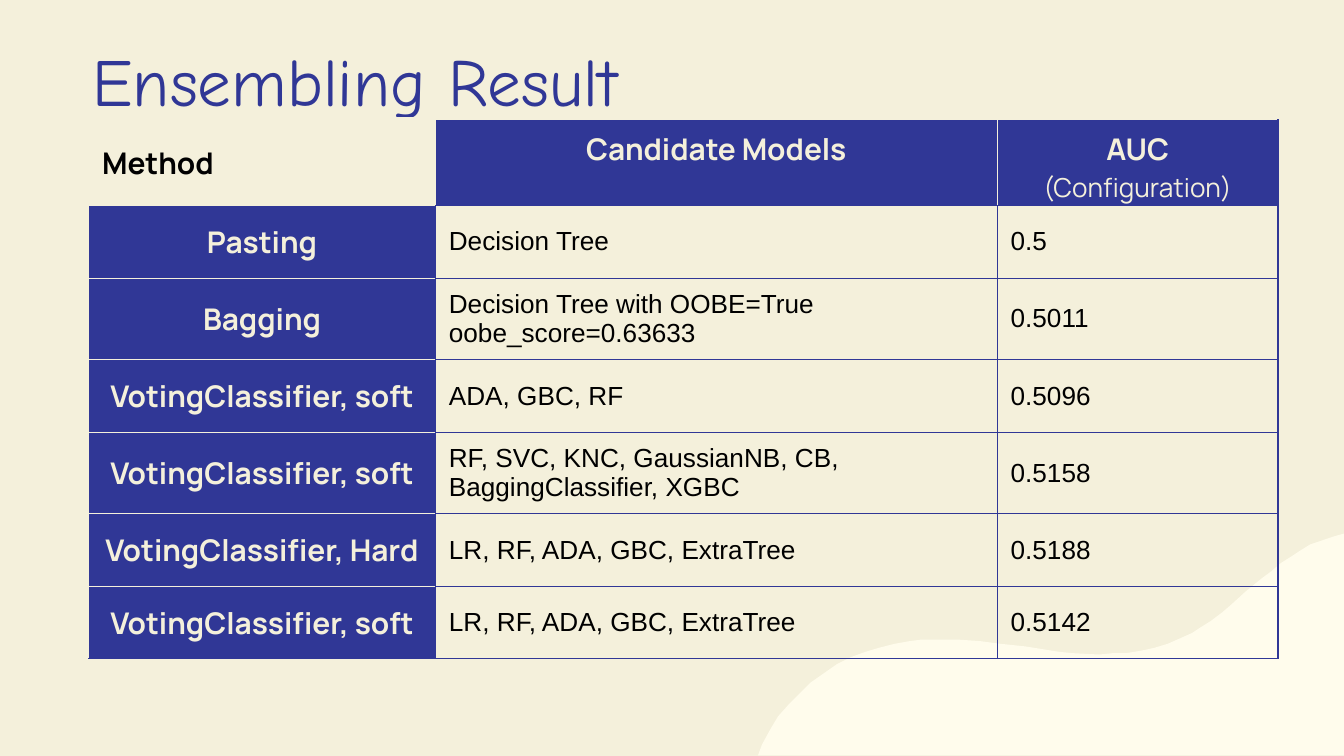
import pptx
import pptx.dml.color
import pptx.enum.text
import pptx.oxml.ns
import pptx.util
from lxml import etree

Inches = pptx.util.Inches
Pt = pptx.util.Pt
qn = pptx.oxml.ns.qn
ALIGN = pptx.enum.text.PP_ALIGN
ANCHOR = pptx.enum.text.MSO_ANCHOR

COLORS = {"cream": "F4F0DB", "wave": "FFFCEC", "blue": "303796", "black": "000000"}

FORMATS = {
    "title": {"name": "Comic Neue", "size": Pt(36), "color": "blue"},
    "corner": {"name": "Manrope", "size": Pt(16), "bold": True, "color": "black"},
    "label": {"name": "Manrope", "size": Pt(16), "bold": True, "color": "cream"},
    "note": {"name": "Manrope", "size": Pt(14), "bold": False, "color": "cream"},
    "body": {"name": "Arial", "size": Pt(14), "bold": False, "color": "black"},
}

COLUMN_WIDTHS = [2.58, 4.18, 2.09]
HEADER_HEIGHT, ROW_HEIGHT = 0.55, 0.54
ROWS = [
    ["Method", "Candidate Models", "AUC\n(Configuration)"],
    ["Pasting", "Decision Tree", "0.5"],
    ["Bagging", "Decision Tree with OOBE=True\voobe_score=0.63633", "0.5011"],
    ["VotingClassifier, soft", "ADA, GBC, RF", "0.5096"],
    ["VotingClassifier, soft", "RF, SVC, KNC, GaussianNB, CB, BaggingClassifier, XGBC", "0.5158"],
    ["VotingClassifier, Hard", "LR, RF, ADA, GBC, ExtraTree", "0.5188"],
    ["VotingClassifier, soft", "LR, RF, ADA, GBC, ExtraTree", "0.5142"],
]

# Offsets in inches from the top left corner of the wave's box
WAVE_POINTS = [
    (4.36, 0), (4.29, 0.02), (4.2, 0.05), (4.11, 0.08), (4.03, 0.13), (3.97, 0.17),
    (3.89, 0.22), (3.82, 0.28), (3.74, 0.34), (3.63, 0.43), (3.52, 0.53), (3.45, 0.59),
    (3.37, 0.65), (3.29, 0.7), (3.23, 0.74), (3.14, 0.78), (3.05, 0.82), (2.95, 0.85),
    (2.86, 0.87), (2.74, 0.89), (2.64, 0.89), (2.54, 0.9), (2.34, 0.89), (2.24, 0.88),
    (1.99, 0.84), (1.8, 0.82), (1.65, 0.8), (1.5, 0.79), (1.33, 0.79), (1.21, 0.79),
    (1.13, 0.8), (1.02, 0.82), (0.9, 0.85), (0.8, 0.88), (0.69, 0.92), (0.59, 0.97),
    (0.49, 1.04), (0.39, 1.11), (0.31, 1.19), (0.23, 1.27), (0.15, 1.36), (0.09, 1.46),
    (0.03, 1.57), (0, 1.65), (4.36, 1.65),
]


def rgb(color):
    return pptx.dml.color.RGBColor.from_string(COLORS[color])


def write_paragraph(paragraph, text, style, alignment=ALIGN.LEFT):
    paragraph.text = text
    paragraph.alignment = alignment
    for run in paragraph.runs:
        for name, value in FORMATS[style].items():
            if name == "color":
                run.font.color.rgb = rgb(value)
            else:
                setattr(run.font, name, value)
    for line_break in paragraph._p.findall(qn("a:br")):
        size = FORMATS[style]["size"].centipoints
        etree.SubElement(line_break, qn("a:rPr"), sz=str(size))


def add_wave(slide, left, top):
    points = [(Inches(left + x), Inches(top + y)) for x, y in WAVE_POINTS]
    builder = slide.shapes.build_freeform(*points[0])
    builder.add_line_segments(points[1:], close=True)
    wave = builder.convert_to_shape()
    wave.shadow.inherit = False
    wave.fill.solid()
    wave.fill.fore_color.rgb = rgb("wave")
    wave.line.fill.background()


def add_title(slide, left, top, width, height):
    box = slide.shapes.add_textbox(*map(Inches, (left, top, width, height)))
    frame = box.text_frame
    margins = dict.fromkeys(
        ["margin_left", "margin_top", "margin_right", "margin_bottom"], Inches(0.1))
    for name, value in {**margins, "word_wrap": True, "vertical_anchor": ANCHOR.MIDDLE}.items():
        setattr(frame, name, value)
    write_paragraph(frame.paragraphs[0], "Ensembling Result", "title")


def set_borders(cell, borders):
    """Draw the sides from a dict of side letter to (color, points)."""
    properties = cell._tc.get_or_add_tcPr()
    for side in "LRTB":
        color, points = borders[side]
        line = etree.SubElement(properties, qn(f"a:ln{side}"), w=str(Pt(points)))
        fill = etree.SubElement(line, qn("a:solidFill"))
        etree.SubElement(fill, qn("a:srgbClr"), val=COLORS[color])


def cell_borders(row, column):
    borders = dict.fromkeys("LRTB", ("blue", 0.75))
    if row == 0:
        light_sides = ["LRTB", "LRT", "LT"][column]
    elif column == 0:
        light_sides = "LT" if row == len(ROWS) - 1 else "LTB"
    else:
        light_sides = ""
    borders.update(dict.fromkeys(light_sides, ("cream", 0.75)))
    if row == column == 0:
        borders["T"] = ("cream", 3)
    return borders


def fill_cell(cell, row, column, text):
    is_corner = row == column == 0
    is_heading = (row == 0 or column == 0) and not is_corner
    set_borders(cell, cell_borders(row, column))
    if is_heading:
        cell.fill.solid()
        cell.fill.fore_color.rgb = rgb("blue")
    else:
        cell.fill.background()
    layout = {
        "margin_left": Inches(0.1), "margin_right": Inches(0.1),
        "margin_top": Inches(0.07), "margin_bottom": Inches(0.07),
        "vertical_anchor": ANCHOR.TOP if row == 0 and column else ANCHOR.MIDDLE,
    }
    for name, value in layout.items():
        setattr(cell, name, value)
    style = "corner" if is_corner else "label" if is_heading else "body"
    alignment = ALIGN.CENTER if is_heading else ALIGN.LEFT
    first, *notes = text.split("\n")
    write_paragraph(cell.text_frame.paragraphs[0], first, style, alignment)
    for note in notes:
        write_paragraph(cell.text_frame.add_paragraph(), note, "note", alignment)


def add_results_table(slide, left, top, width, height):
    frame = slide.shapes.add_table(
        len(ROWS), len(COLUMN_WIDTHS), *map(Inches, (left, top, width, height)))
    table = frame.table
    table.first_row = table.horz_banding = False
    for column, column_width in zip(table.columns, COLUMN_WIDTHS):
        column.width = Inches(column_width)
    for index, row in enumerate(table.rows):
        row.height = Inches(ROW_HEIGHT if index else HEADER_HEIGHT)
    # Rows grow with their text, so the frame is taller than their sum
    frame.height = Inches(height)
    for row, texts in enumerate(ROWS):
        for column, text in enumerate(texts):
            fill_cell(table.cell(row, column), row, column, text)


def main():
    presentation = pptx.Presentation()
    presentation.slide_width = Inches(10)
    presentation.slide_height = Inches(10) * 9 // 16
    slide = presentation.slides.add_slide(presentation.slide_layouts[6])
    slide.background.fill.solid()
    slide.background.fill.fore_color.rgb = rgb("cream")
    add_wave(slide, 5.64, 3.97)
    add_title(slide, 0.59, 0.3, 6.54, 0.59)
    add_results_table(slide, 0.66, 0.89, 8.85, 4.54)
    presentation.save("out.pptx")


if __name__ == "__main__":
    main()
